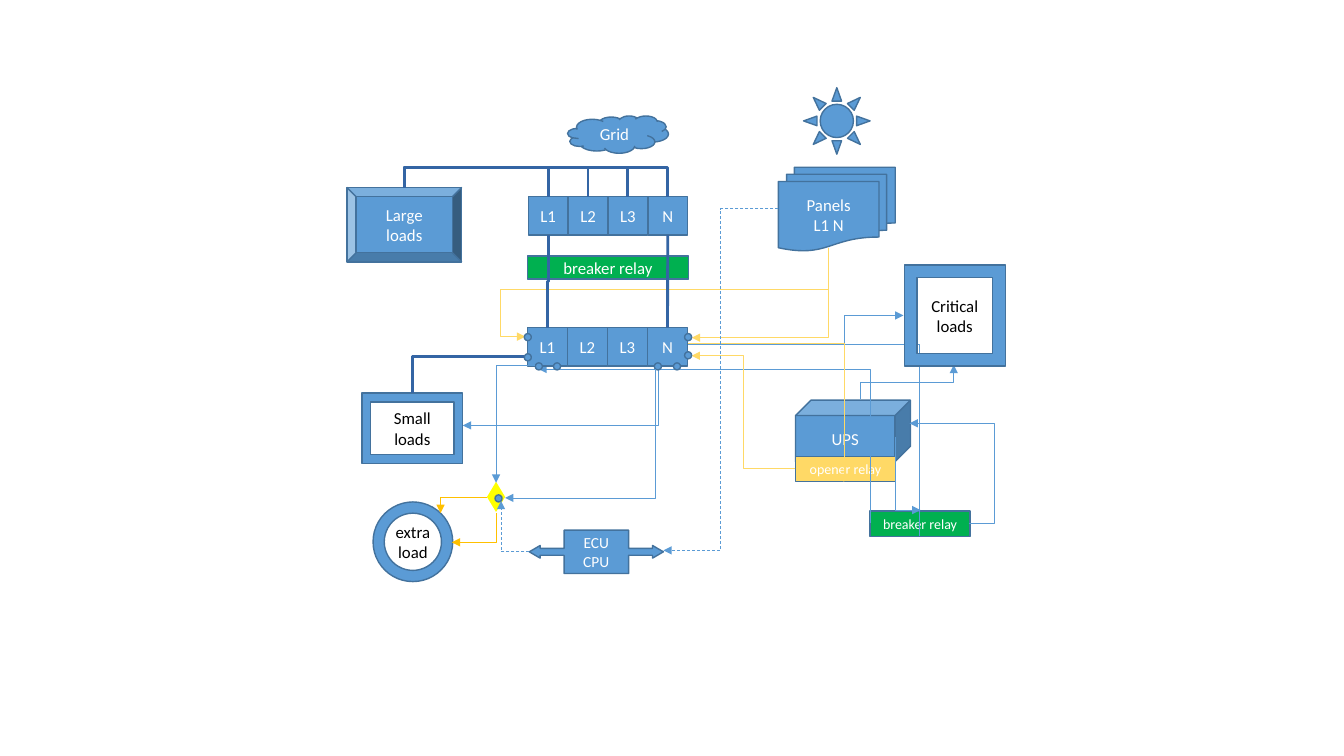
from lxml.etree import SubElement
from pptx import Presentation
from pptx.dml.color import RGBColor as Rgb
from pptx.enum.dml import MSO_LINE as Dash
from pptx.enum.shapes import MSO_CONNECTOR as Con, MSO_SHAPE as Geo
from pptx.enum.text import MSO_ANCHOR as Anchor, PP_ALIGN as Align
from pptx.oxml.ns import qn
from pptx.util import Inches, Pt

BLUE = Rgb(0x5B, 0x9B, 0xD5)
EDGE = Rgb(0x43, 0x72, 0x9D)
NAVY = Rgb(0x34, 0x65, 0xA4)
GREEN = Rgb(0x00, 0xB0, 0x50)
SAND = Rgb(0xFF, 0xD9, 0x66)
AMBER = Rgb(0xFF, 0xC0, 0x00)
YELLOW = Rgb(0xFF, 0xFF, 0x00)
WHITE = Rgb(0xFF, 0xFF, 0xFF)
BLACK = Rgb(0x00, 0x00, 0x00)

PHASES = ["L1", "L2", "L3", "N"]
DOT = 0.07


def node(slide, geo, x, y, w, h, text="", fill=BLUE, ink=WHITE, size=12, edge=EDGE, adj=()):
    """Place a filled preset shape with centred text."""
    shape = slide.shapes.add_shape(geo, Inches(x), Inches(y), Inches(w), Inches(h))
    shape.shadow.inherit = False
    shape.fill.solid()
    shape.fill.fore_color.rgb = fill
    if edge is None:
        shape.line.fill.background()
    else:
        shape.line.color.rgb = edge
        shape.line.width = Pt(1)
    for i, value in enumerate(adj):
        shape.adjustments[i] = value
    if text:
        frame = shape.text_frame
        frame.word_wrap = True
        frame.vertical_anchor = Anchor.MIDDLE
        frame.text = text
        for para in frame.paragraphs:
            para.alignment = Align.CENTER
            for run in para.runs:
                run.font.name = "Calibri"
                run.font.size = Pt(size)
                run.font.color.rgb = ink
    return shape


def style(wire, color, width, arrow=False, dash=False):
    """Colour a connector, drop its shadow and add dashes or an arrowhead."""
    wire.line.color.rgb = color
    wire.line.width = Pt(width)
    if dash:
        wire.line.dash_style = Dash.DASH
    props = wire._element.spPr
    if arrow:
        SubElement(props.find(qn("a:ln")), qn("a:tailEnd"), type="triangle")
    SubElement(props, qn("a:effectLst"))


def elbow(slide, color, axis, start, end, *turns, width=0.5, arrow=True, dash=False):
    """Draw a bent connector that leaves along axis and bends at the given turns."""
    (x, y), (dx, dy) = start, (end[0] - start[0], end[1] - start[1])
    upright = axis == "v"
    w, h = (abs(dy), abs(dx)) if upright else (abs(dx), abs(dy))
    left, top = x + dx / 2 - w / 2, y + dy / 2 - h / 2
    wire = slide.shapes.add_connector(
        Con.ELBOW, Inches(left), Inches(top), Inches(left + w), Inches(top + h))
    props = wire._element.spPr
    frame = props.find(qn("a:xfrm"))
    if upright:
        frame.set("rot", "5400000")
    if (dy if upright else dx) < 0:
        frame.set("flipH", "1")
    if (dx > 0) if upright else (dy < 0):
        frame.set("flipV", "1")
    geom = props.find(qn("a:prstGeom"))
    geom.set("prst", f"bentConnector{len(turns) + 2}")
    guides = geom.find(qn("a:avLst"))
    for i, turn in enumerate(turns):
        along_y = upright == (i % 2 == 0)
        ratio = (turn - y) / dy if along_y else (turn - x) / dx
        SubElement(guides, qn("a:gd"), name=f"adj{i + 1}", fmla=f"val {round(ratio * 100000)}")
    style(wire, color, width, arrow, dash)


def strip(slide, x, y, w, h):
    """Place a row of phase terminals and return them."""
    cell = w / len(PHASES)
    return [node(slide, Geo.RECTANGLE, x + i * cell, y, cell, h, name)
            for i, name in enumerate(PHASES)]


def grid(slide, x, y):
    """Place the grid cloud, its terminals and the breaker; return the terminals."""
    cells = strip(slide, x + 0.01, y + 0.8, 1.58, 0.38)
    node(slide, Geo.CLOUD, x + 0.4, y, 1, 0.37, "Grid")
    node(slide, Geo.RECTANGLE, x, y + 1.39, 1.6, 0.23, "breaker relay", GREEN)
    return cells


def solar(slide, x, y):
    """Place the sun above the panels."""
    node(slide, Geo.SUN, x + 0.25, y, 0.66, 0.66)
    node(slide, Geo.FLOWCHART_MULTIDOCUMENT, x, y + 0.79, 1.16, 0.83, "Panels\nL1 N")


def backup(slide, x, y):
    """Place the UPS with its two relays."""
    node(slide, Geo.CUBE, x, y, 1.14, 0.61, "UPS")
    node(slide, Geo.RECTANGLE, x + 0.74, y + 1.1, 0.99, 0.25, "breaker relay", GREEN, size=10)
    node(slide, Geo.RECTANGLE, x, y + 0.56, 0.99, 0.25, "opener relay", SAND, size=10)


def loads(slide, x, y):
    """Place the four kinds of load."""
    node(slide, Geo.BEVEL, x, y, 1.14, 0.74, "Large loads")
    node(slide, Geo.FRAME, x + 0.15, y + 2.04, 1, 0.7, "Small loads", ink=BLACK)
    node(slide, Geo.DONUT, x + 0.26, y + 3.12, 0.79, 0.79, "extra load", ink=BLACK, adj=[0.141])
    node(slide, Geo.FRAME, x + 5.53, y + 0.77, 1, 1, "Critical loads", ink=BLACK)


def hub(slide, x, y):
    """Place the house terminals with their contact dots; return the terminals."""
    cells = strip(slide, x, y, 1.59, 0.38)
    dots = [(dx, 0.35) for dx in (1.45, 1.26, 0.26, 0.08)]
    dots += [(1.56, 0.06), (1.56, 0.24), (-0.03, 0.06), (-0.03, 0.26)]
    for dx, dy in dots:
        node(slide, Geo.FLOWCHART_CONNECTOR, x + dx, y + dy, DOT, DOT)
    return cells


def control(slide, x, y):
    """Place the switch and the control unit."""
    node(slide, Geo.DIAMOND, x, y, 0.18, 0.3, fill=YELLOW, edge=None)
    node(slide, Geo.LEFT_RIGHT_ARROW_CALLOUT, x + 0.42, y + 0.48, 1.33, 0.43, "ECU\nCPU",
         size=11, adj=[0.161, 0.146, 0.25, 0.481])
    node(slide, Geo.FLOWCHART_CONNECTOR, x + 0.08, y + 0.13, DOT, DOT)


def power(slide):
    """Draw the wires that run beneath the house terminals and the loads."""
    elbow(slide, BLUE, "v", (8.88, 4.34), (9.13, 5.06))
    elbow(slide, BLUE, "h", (9.61, 5.19), (9.02, 4.2), 9.86)
    elbow(slide, BLUE, "v", (6.53, 3.67), (4.59, 4.22))
    elbow(slide, BLUE, "v", (8.63, 5.19), (5.34, 3.66))
    elbow(slide, BLUE, "v", (9.12, 5.32), (6.7, 3.67), 3.42)
    elbow(slide, SAND, "v", (8.22, 2.46), (5.21, 3.34), 2.87, 4.96)
    elbow(slide, SAND, "v", (8.22, 2.46), (6.86, 3.35))
    elbow(slide, BLUE, "v", (8.53, 3.96), (9.46, 3.62), 3.79)
    elbow(slide, BLUE, "v", (8.37, 4.12), (8.96, 3.13))
    elbow(slide, SAND, "v", (5.52, 3.66), (8.37, 4.78), 3.41)
    elbow(slide, SAND, "h", (7.89, 4.65), (6.86, 3.53), 7.37)


def signal(slide):
    """Draw the wires of the switch and the dashed control lines."""
    elbow(slide, BLUE, "h", (5.31, 3.63), (4.92, 4.79))
    elbow(slide, BLUE, "v", (6.5, 3.66), (5.01, 4.94))
    elbow(slide, AMBER, "h", (4.83, 4.93), (4.37, 5.09))
    elbow(slide, AMBER, "v", (4.92, 5.09), (4.48, 5.38))
    elbow(slide, BLUE, "h", (5.25, 5.47), (4.97, 4.97), dash=True)
    elbow(slide, BLUE, "h", (7.72, 2.07), (6.58, 5.46), 7.15, dash=True)


def mains(slide, top, low):
    """Draw the thin wires from the terminals to the loads and between the strips."""
    thin = {"width": 0, "arrow": False}
    elbow(slide, NAVY, "h", (5.2, 3.54), (4.09, 3.9), **thin)
    for cell in top:
        tap = (cell.left + cell.width / 2) / Inches(1)
        elbow(slide, NAVY, "v", (4.01, 1.86), (tap, 1.95), 1.66, **thin)
    elbow(slide, NAVY, "v", (5.44, 2.33), (5.43, 3.25), 2.79, **thin)
    wire = slide.shapes.add_connector(Con.STRAIGHT, 0, 0, 0, 0)
    wire.begin_connect(top[-1], 2)
    wire.end_connect(low[-1], 0)
    style(wire, NAVY, 0)


def main():
    """Build the wiring slide and save it."""
    deck = Presentation()
    deck.slide_width, deck.slide_height = Inches(13.33), Inches(7.5)
    slide = deck.slides.add_slide(deck.slide_layouts[6])
    top = grid(slide, 5.23, 1.15)
    solar(slide, 7.72, 0.87)
    backup(slide, 7.89, 3.97)
    power(slide)
    loads(slide, 3.44, 1.86)
    low = hub(slide, 5.23, 3.25)
    control(slide, 4.83, 4.78)
    signal(slide)
    mains(slide, top, low)
    deck.save("out.pptx")


if __name__ == "__main__":
    main()
